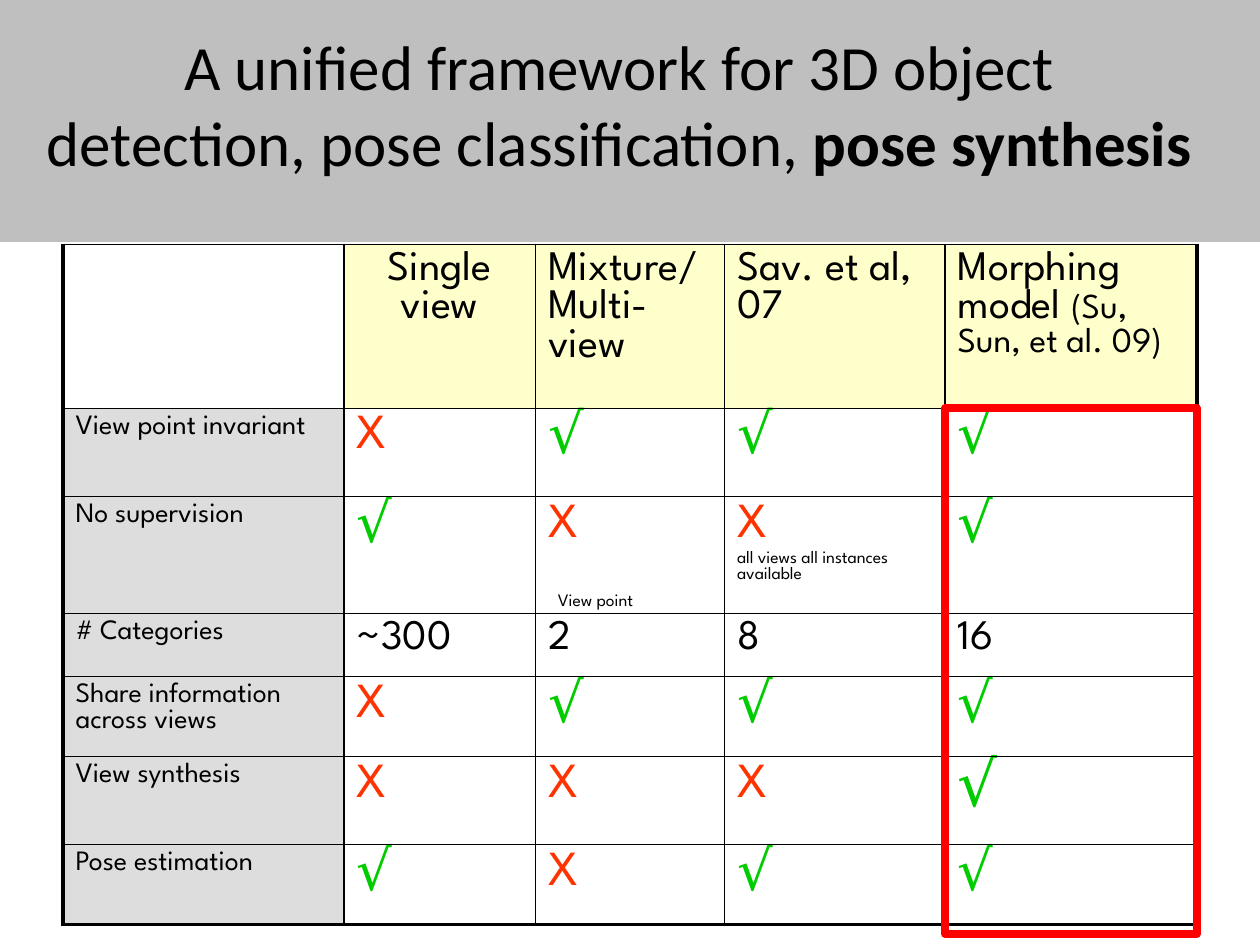
from lxml import etree
from pptx import Presentation
from pptx import util as u
from pptx.dml.color import RGBColor
from pptx.enum import shapes, text
from pptx.oxml.ns import qn

BLACK = RGBColor(0x00, 0x00, 0x00)
BAND = RGBColor(0xBF, 0xBF, 0xBF)
HEADER = RGBColor(0xFF, 0xFF, 0xCC)
LABEL = RGBColor(0xDD, 0xDD, 0xDD)
CROSS = RGBColor(0xFF, 0x33, 0x00)
CHECK = RGBColor(0x00, 0xCC, 0x00)
FRAME = RGBColor(0xFF, 0x00, 0x00)
TABLE_FONT = "League Spartan"

LEFT, TOP = 0.5, 1.94
COLS = [2.23, 1.52, 1.5, 1.75, 2]
ROWS = [1.3, 0.7, 0.92, 0.5, 0.63, 0.7, 0.63]
CELLS = [
    ["", "Single view", "Mixture/ Multi-view", "Sav. et al, 07", "Morphing model "],
    ["View point invariant", "X", "√", "√", "√"],
    ["No supervision", "√", "X", "X", "√"],
    ["# Categories", "~300", "2", "8", "16"],
    ["Share information across views", "X", "√", "√", "√"],
    ["View synthesis", "X", "X", "X", "√"],
    ["Pose estimation", "√", "X", "√", "√"],
]
MARKS = {"X": (28, CROSS), "√": (32, CHECK)}


def set_font(font, size, color=BLACK, name=TABLE_FONT):
    font.name, font.size = name, u.Pt(size)
    font.color.rgb = color


def add_border(cell, side, width):
    """Draw one black cell edge; side is L, R, T or B."""
    ln = etree.SubElement(cell._tc.get_or_add_tcPr(), qn("a:ln" + side), w=str(u.Pt(width)))
    fill = etree.SubElement(ln, qn("a:solidFill"))
    etree.SubElement(fill, qn("a:srgbClr"), val=str(BLACK))


prs = Presentation()
prs.slide_width, prs.slide_height = u.Inches(10), u.Inches(7.5)
s = prs.slides.add_slide(prs.slide_layouts[6])

# Title band
band = s.shapes.add_shape(shapes.MSO_SHAPE.RECTANGLE, 0, 0, prs.slide_width, u.Inches(1.92))
band.shadow.inherit = False
band.fill.solid()
band.fill.fore_color.rgb = BAND
band.line.fill.background()

title = s.shapes.add_textbox(u.Inches(0.25), u.Inches(0.17), u.Inches(9.33), u.Inches(1.85))
tf = title.text_frame
tf.word_wrap = True
tf.text = "A unified framework for 3D object\ndetection, pose classification, "
r = tf.paragraphs[1].add_run()
r.text = "pose synthesis"
r.font.bold = True
for p in tf.paragraphs:
    p.alignment = text.PP_ALIGN.CENTER
    set_font(p.font, 36, name="Calibri")

# Comparison table
frame = s.shapes.add_table(len(ROWS), len(COLS), u.Inches(LEFT), u.Inches(TOP),
                           u.Inches(sum(COLS)), u.Inches(sum(ROWS)))
table = frame.table
table.first_row = table.horz_banding = False
for column, width in zip(table.columns, COLS):
    column.width = u.Inches(width)
for row, height in zip(table.rows, ROWS):
    row.height = u.Inches(height)

last_row, last_col = len(ROWS) - 1, len(COLS) - 1
for i, line in enumerate(CELLS):
    for j, words in enumerate(line):
        cell = table.cell(i, j)
        add_border(cell, "L", 2.25 if j == 0 else 1)
        add_border(cell, "R", 2.25 if j == last_col else 1)
        add_border(cell, "T", 1)
        add_border(cell, "B", 2.25 if i == last_row else 1)
        if i == j == 0:
            cell.fill.background()
            continue
        if i == 0 or j == 0:
            cell.fill.solid()
            cell.fill.fore_color.rgb = HEADER if i == 0 else LABEL
        else:
            cell.fill.background()
        cell.text = words
        size, color = MARKS.get(words, (16 if j == 0 else 24, BLACK))
        set_font(cell.text_frame.paragraphs[0].font, size, color)

table.cell(0, 1).text_frame.paragraphs[0].alignment = text.PP_ALIGN.CENTER
table.cell(5, last_col).text_frame.paragraphs[0].font.size = u.Pt(36)

r = table.cell(0, last_col).text_frame.paragraphs[0].add_run()
r.text = "(Su, Sun, et al. 09)"
r.font.size = u.Pt(20)

p = table.cell(2, 3).text_frame.add_paragraph()
p.text = "all views all instances available"
p.space_before = u.Pt(2)
set_font(p.font, 10)

# Note at the foot of the multi-view supervision cell
note = s.shapes.add_textbox(u.Inches(4.33), u.Inches(4.42), u.Inches(0.85), u.Inches(0.47))
tf = note.text_frame
tf.word_wrap = False
tf.vertical_anchor = text.MSO_ANCHOR.BOTTOM
tf.text = "View point"
set_font(tf.paragraphs[0].font, 10)

# Frame around the results of the morphing model
highlight = s.shapes.add_shape(
    shapes.MSO_SHAPE.RECTANGLE, u.Inches(LEFT + sum(COLS[:-1])), u.Inches(TOP + ROWS[0]),
    u.Inches(COLS[-1]), u.Inches(4.17))
highlight.shadow.inherit = False
highlight.fill.background()
highlight.line.color.rgb = FRAME
highlight.line.width = u.Pt(4.5)

prs.save("out.pptx")
